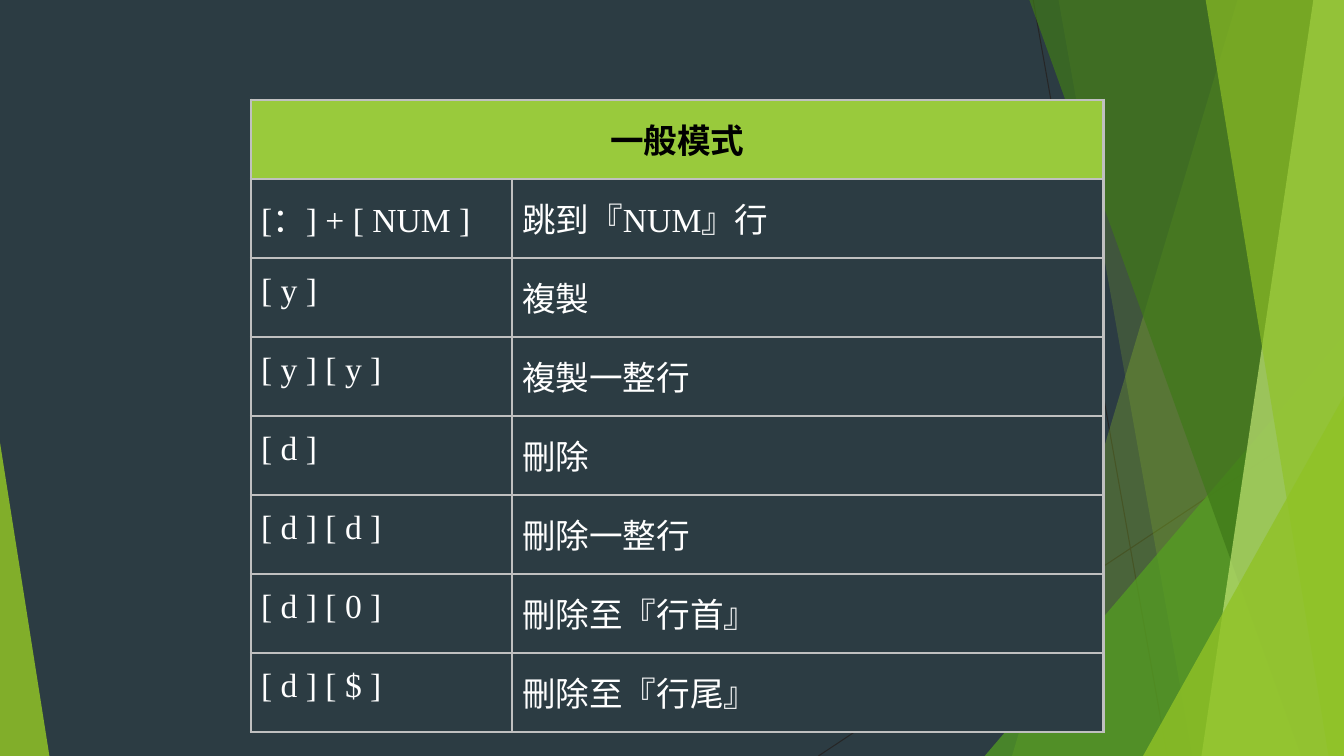
from lxml import etree
from pptx import Presentation
from pptx.dml.color import RGBColor
from pptx.enum.shapes import MSO_CONNECTOR, MSO_SHAPE
from pptx.enum.text import PP_ALIGN
from pptx.oxml.ns import qn
from pptx.util import Pt

STRAIGHT = MSO_CONNECTOR.STRAIGHT
TRIANGLE = MSO_SHAPE.ISOSCELES_TRIANGLE
LEFT, CENTER = PP_ALIGN.LEFT, PP_ALIGN.CENTER

COLORS = {
    "background": "2C3C43",
    "hairline": "262626",
    "lime": "90C226",
    "green": "54A021",
    "forest": "3F7819",
    "pale": "C0E474",
    "header": "99CA3C",
    "border": "C0C0C0",
    "black": "000000",
    "white": "FFFFFF",
}
CJK_FONT = "Noto Sans CJK SC"
LATIN_FONT = "Times New Roman"

WIDTH, HEIGHT, TOP = 960, 540, -0.6
TITLE = "一般模式"
COMMANDS = [
    ("[：] + [ NUM ]", "跳到『NUM』行"),
    ("[ y ]", "複製"),
    ("[ y ] [ y ]", "複製一整行"),
    ("[ d ]", "刪除"),
    ("[ d ] [ d ]", "刪除一整行"),
    ("[ d ] [ 0 ]", "刪除至『行首』"),
    ("[ d ] [ $ ]", "刪除至『行尾』"),
]
COLUMN_WIDTHS = [186.5, 422.6]
ROW_HEIGHT = 50.4
CELL_FORMAT = {
    "margin_left": Pt(7.2),
    "margin_right": Pt(7.2),
    "margin_top": Pt(10.8),
    "margin_bottom": Pt(10.8),
}


def rgb(color):
    return RGBColor.from_string(COLORS[color])


def set_attributes(target, values):
    for name, value in values.items():
        setattr(target, name, value)


def paint(shape, color, opacity):
    shape.shadow.inherit = False
    shape.line.fill.background()
    shape.fill.solid()
    shape.fill.fore_color.rgb = rgb(color)
    tint = shape.fill._xPr.find(qn("a:solidFill"))[0]
    etree.SubElement(tint, qn("a:alpha"), val=str(opacity * 1000))


def add_hairline(page, start, end):
    points = [Pt(value) for value in start + end]
    line = page.shapes.add_connector(STRAIGHT, *points)
    line.line.width = Pt(0.75)
    line.line.color.rgb = rgb("hairline")
    etree.SubElement(line._element.spPr, qn("a:effectLst"))


def add_facet(page, top_left, bottom_left, color, opacity):
    corners = [
        (top_left, TOP), (WIDTH, TOP), (WIDTH, HEIGHT), (bottom_left, HEIGHT),
    ]
    first, *others = [(Pt(x), Pt(y)) for x, y in corners]
    builder = page.shapes.build_freeform(*first, scale=1.0)
    builder.add_line_segments(others, close=True)
    paint(builder.convert_to_shape(), color, opacity)


def add_triangle(page, left, width, height, apex, color, opacity):
    shape = page.shapes.add_shape(
        TRIANGLE, Pt(left), Pt(HEIGHT - height), Pt(width), Pt(height)
    )
    shape.adjustments[0] = apex
    paint(shape, color, opacity)


def add_borders(cell):
    properties = cell._tc.get_or_add_tcPr()
    for index, side in enumerate(("lnL", "lnR", "lnT", "lnB")):
        border = etree.Element(qn(f"a:{side}"), w=str(Pt(2)))
        fill = etree.SubElement(border, qn("a:solidFill"))
        etree.SubElement(fill, qn("a:srgbClr"), val=COLORS["border"])
        properties.insert(index, border)


def style_cell(cell, fill):
    set_attributes(cell, CELL_FORMAT)
    cell.fill.solid()
    cell.fill.fore_color.rgb = rgb(fill)
    add_borders(cell)


def write_cell(cell, text, font, color, bold=False, alignment=LEFT):
    para = cell.text_frame.paragraphs[0]
    para.alignment = alignment
    span = para.add_run()
    span.text = text
    set_attributes(span.font, {"size": Pt(24), "bold": bold, "name": font})
    span.font.color.rgb = rgb(color)
    etree.SubElement(span._r.get_or_add_rPr(), qn("a:ea"), typeface=CJK_FONT)


def add_command_table(page):
    row_count = len(COMMANDS) + 1
    frame = page.shapes.add_table(
        row_count, len(COLUMN_WIDTHS), Pt(179.3), Pt(71.3),
        Pt(sum(COLUMN_WIDTHS)), Pt(row_count * ROW_HEIGHT),
    )
    table = frame.table
    set_attributes(table, {"first_row": False, "horz_banding": False})
    for column, width in zip(table.columns, COLUMN_WIDTHS):
        column.width = Pt(width)
    for index, row in enumerate(table.rows):
        row.height = Pt(ROW_HEIGHT)
        for cell in row.cells:
            style_cell(cell, "background" if index else "header")
    title = table.cell(0, 0)
    title.merge(table.cell(0, 1))
    write_cell(title, TITLE, CJK_FONT, "black", True, CENTER)
    for row, texts in enumerate(COMMANDS, start=1):
        for column, text in enumerate(texts):
            write_cell(table.cell(row, column), text, LATIN_FONT, "white")


def add_backdrop(page):
    page.background.fill.solid()
    page.background.fill.fore_color.rgb = rgb("background")
    add_hairline(page, (738, 0), (833.8, HEIGHT))
    add_hairline(page, (WIDTH, 290.2), (584.6, HEIGHT))
    add_facet(page, 884.2, 722.9, "lime", 30)
    add_facet(page, 756, 851.8, "lime", 20)
    add_triangle(page, 703.4, 256.6, 300.2, 1, "green", 72)
    add_facet(page, 735.1, 929.5, "forest", 70)
    add_facet(page, 938.2, 858.2, "pale", 70)
    add_facet(page, 861.1, 949, "lime", 65)
    add_triangle(page, 816.5, 143.5, 257, 1, "lime", 80)
    add_triangle(page, 0, 35.3, 223.9, 0, "lime", 85)


def main():
    deck = Presentation()
    set_attributes(deck, {"slide_width": Pt(WIDTH), "slide_height": Pt(HEIGHT)})
    page = deck.slides.add_slide(deck.slide_layouts[6])
    add_backdrop(page)
    add_command_table(page)
    deck.save("out.pptx")


if __name__ == "__main__":
    main()
